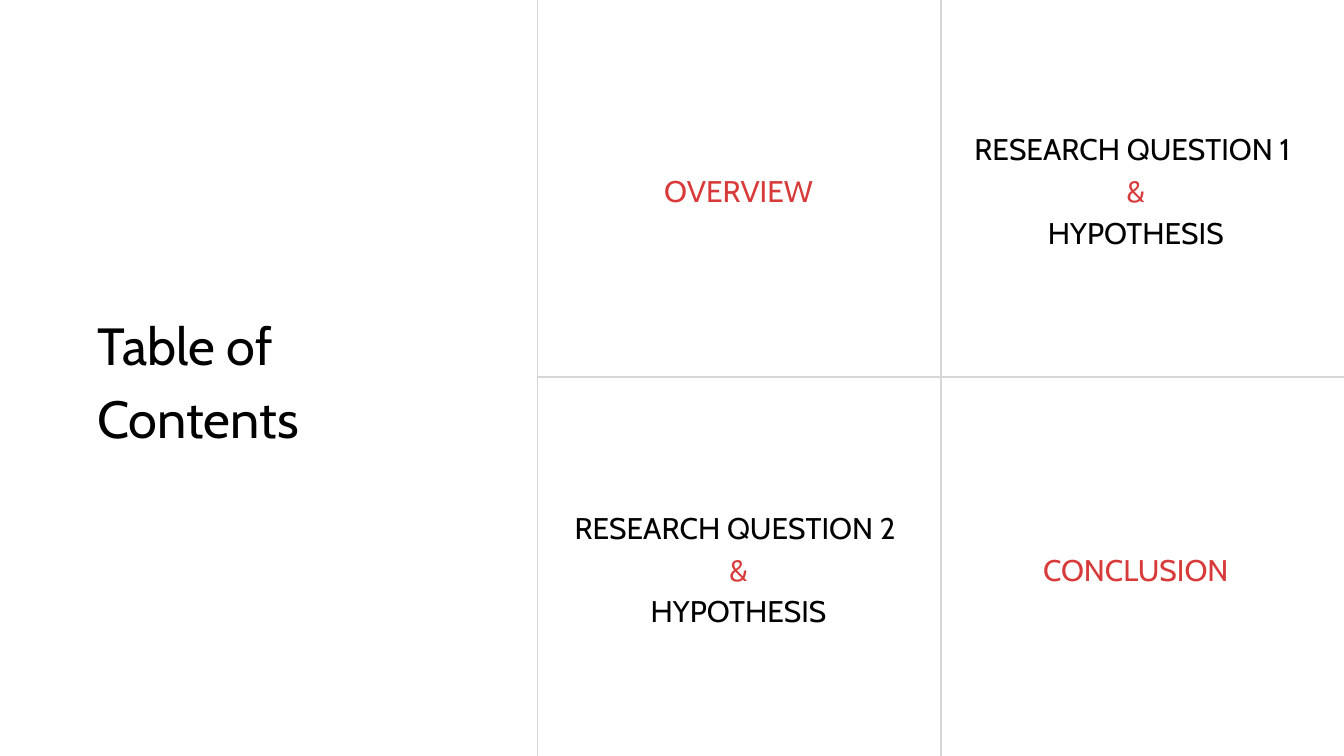
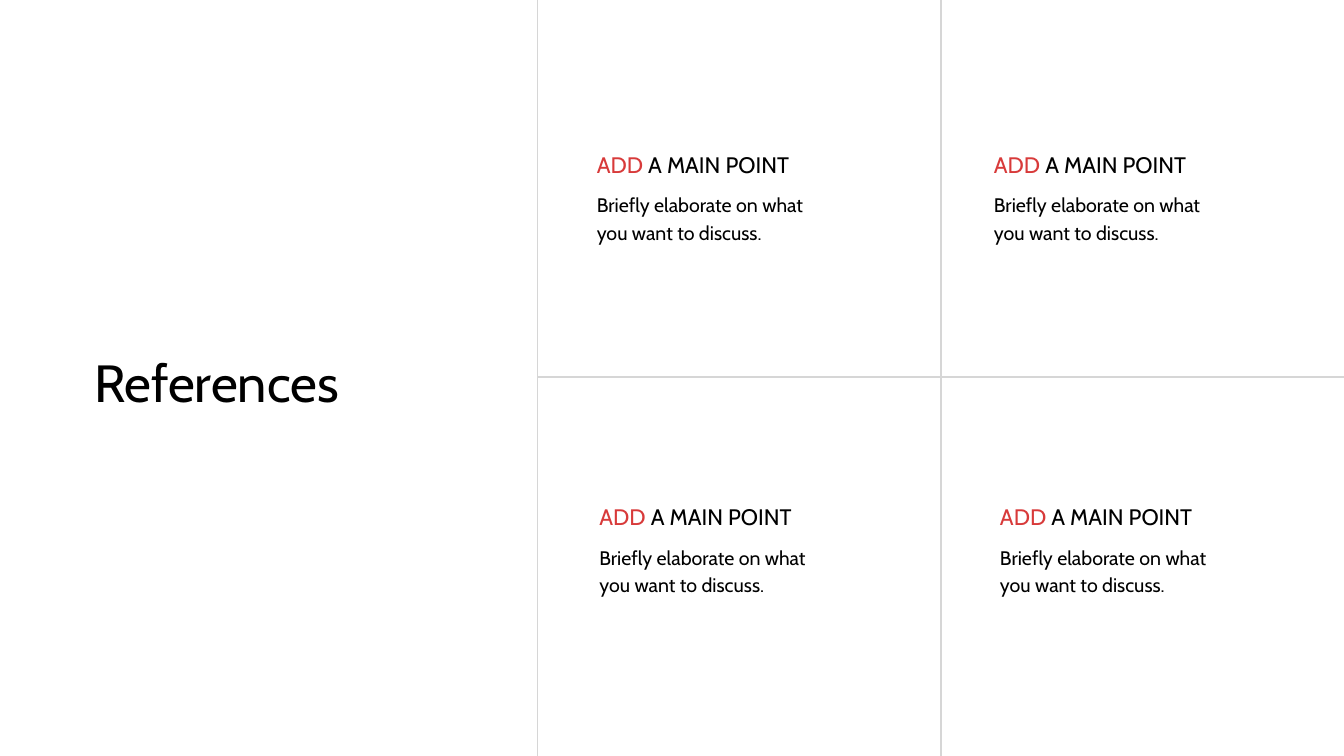
from itertools import product

from lxml.etree import SubElement
from pptx import Presentation
from pptx.dml.color import RGBColor
from pptx.enum.shapes import MSO_CONNECTOR
from pptx.enum.text import MSO_AUTO_SIZE, PP_ALIGN
from pptx.oxml.ns import qn
from pptx.util import Pt

COLORS = {"ink": "000000", "red": "D83A3A", "rule": "D6D6D6"}
FONT = "Cabin"
LEADING = 1.4
WIDTH, HEIGHT = 1440, 810
LEFT, SPLIT, MIDDLE = 576, 1008, 404


def color(name):
    return RGBColor.from_string(COLORS[name])


class Deck:
    def __init__(self):
        self.show = Presentation()
        self.show.slide_width = Pt(WIDTH)
        self.show.slide_height = Pt(HEIGHT)
        self.slide = None

    def page(self, title, left, top, height):
        self.slide = self.show.slides.add_slide(self.show.slide_layouts[6])
        self.line(LEFT, MIDDLE, WIDTH, MIDDLE)
        for x in (LEFT, SPLIT):
            self.line(x, 0, x, HEIGHT)
        self.text([[(title, "ink")]], left, top, 402.5, height, size=56)

    def line(self, x1, y1, x2, y2):
        rule = self.slide.shapes.add_connector(
            MSO_CONNECTOR.STRAIGHT, Pt(x1), Pt(y1), Pt(x2), Pt(y2))
        rule.line.color.rgb = color("rule")
        rule.line.width = Pt(1.5)
        SubElement(rule._element.spPr, qn("a:effectLst"))

    def text(self, lines, left, top, width, height, size=32, align=PP_ALIGN.LEFT):
        box = self.slide.shapes.add_textbox(Pt(left), Pt(top), Pt(width), Pt(height))
        frame = box.text_frame
        frame.margin_left = frame.margin_right = 0
        frame.margin_top = frame.margin_bottom = 0
        frame.word_wrap = True
        frame.auto_size = MSO_AUTO_SIZE.SHAPE_TO_FIT_TEXT
        for i, runs in enumerate(lines):
            para = frame.add_paragraph() if i else frame.paragraphs[0]
            para.alignment = align
            para.line_spacing = Pt(size * LEADING)
            for words, tint in runs:
                run = para.add_run()
                run.text = words
                run.font.name = FONT
                run.font.size = Pt(size)
                run.font.color.rgb = color(tint)

    def topic(self, lines, center, middle, width):
        height = 32 * LEADING * len(lines) - 3
        self.text(lines, center - width / 2, middle - height / 2, width, height,
                  align=PP_ALIGN.CENTER)

    def point(self, left, top):
        body = ("Briefly elaborate on what", "you want to discuss.")
        self.text([[(words, "ink")] for words in body],
                  left, top + 46, 303.8, 57.6, size=21)
        self.text([[("ADD", "red"), (" A MAIN POINT", "ink")]],
                  left, top, 303.8, 31.7, size=24)


def study(number):
    return [[(f"RESEARCH QUESTION {number} ", "ink")],
            [("&", "red")],
            [("HYPOTHESIS", "ink")]]


def main():
    deck = Deck()

    deck.page("Table of Contents", 104.4, 324, 153.4)
    topics = [([[("OVERVIEW", "red")]], 303.8),
              (study(1), 356.4),
              (study(2), 352),
              ([[("CONCLUSION", "red")]], 303.8)]
    cells = product((199.2, 605.2), (791.4, 1217))
    for (lines, width), (middle, center) in zip(topics, cells):
        deck.topic(lines, center, middle, width)

    deck.page("References", 100.8, 363.6, 74.9)
    for left, top in ((639.4, 157), (1064.9, 157), (642.2, 534.2), (1071.4, 534.2)):
        deck.point(left, top)

    deck.show.save("out.pptx")


if __name__ == "__main__":
    main()
